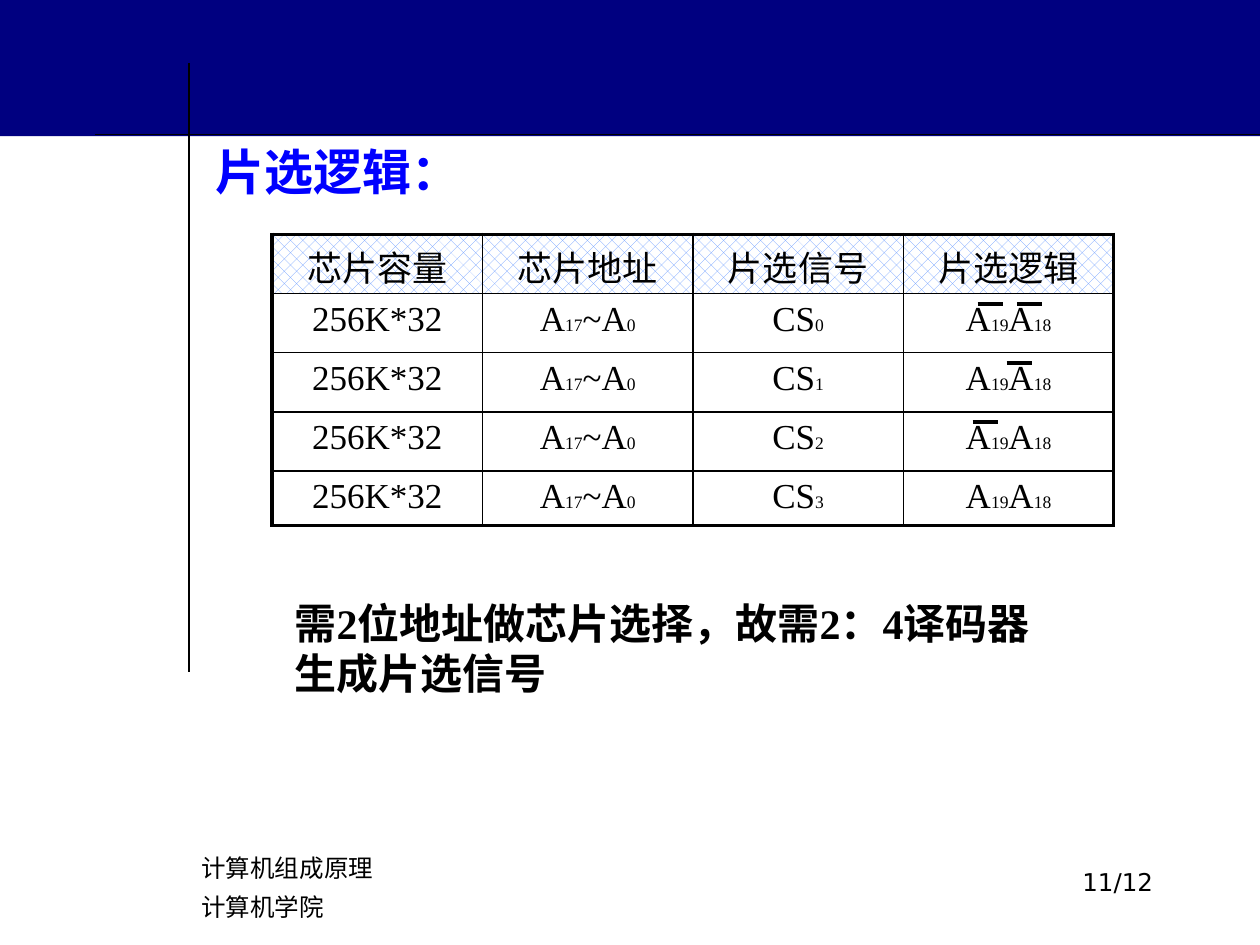
from pptx import Presentation
from pptx.dml.color import RGBColor
from pptx.enum.dml import MSO_PATTERN
from pptx.enum.shapes import MSO_CONNECTOR, MSO_SHAPE
from pptx.enum.text import MSO_ANCHOR, MSO_AUTO_SIZE, PP_ALIGN
from pptx.oxml.ns import qn
from pptx.util import Inches, Pt
from lxml import etree

RECT = MSO_SHAPE.RECTANGLE
STRAIGHT = MSO_CONNECTOR.STRAIGHT
HATCH = MSO_PATTERN.PERCENT_30
TOP, MIDDLE = MSO_ANCHOR.TOP, MSO_ANCHOR.MIDDLE
LEFT, CENTER, RIGHT = PP_ALIGN.LEFT, PP_ALIGN.CENTER, PP_ALIGN.RIGHT
NO_FIT = MSO_AUTO_SIZE.NONE

COLORS = {"band": "000080", "title": "0000FF", "ink": "000000",
          "hatch": "6699FF", "paper": "FFFFFF"}
CJK, SERIF, SANS = "Noto Sans CJK SC", "Times New Roman", "DejaVu Sans"
THICK, THIN = 2.25, 1


def rgb(name):
    return RGBColor.from_string(COLORS[name])


class SlideBuilder:
    """Holds the current slide and the style shared by its elements."""

    def __init__(self, slide):
        self.s = slide

    def run(self, p, text, size, font=CJK, color="ink", bold=False):
        r = p.add_run()
        r.text = text
        r.font.size = Pt(size)
        r.font.name = font
        r.font.bold = bold
        r.font.color.rgb = rgb(color)
        ea = etree.SubElement(r.font._element, qn("a:ea"))
        ea.set("typeface", CJK)

    def frame(self, sp, anchor, align):
        """Set up a text frame and return its first paragraph."""
        tf = sp.text_frame
        tf.word_wrap = True
        tf.auto_size = NO_FIT
        tf.vertical_anchor = anchor
        p = tf.paragraphs[0]
        p.alignment = align
        p.space_before = Pt(0)
        return p

    def title(self, text, x, y, w, h):
        sp = self.s.shapes.title
        sp.left, sp.top, sp.width, sp.height = map(Inches, (x, y, w, h))
        p = self.frame(sp, MIDDLE, LEFT)
        self.run(p, text, 28, color="title", bold=True)

    def text(self, lines, x, y, w, h, size, font=CJK, anchor=TOP, align=LEFT,
             spacing=None, bold=False):
        sp = self.s.shapes.add_textbox(*map(Inches, (x, y, w, h)))
        p = self.frame(sp, anchor, align)
        if spacing:
            p.line_spacing = Pt(spacing)
        for i, line in enumerate(lines):
            if i:
                p.add_line_break()
            self.run(p, line, size, font, bold=bold)

    def band(self, x, y, w, h):
        sp = self.s.shapes.add_shape(RECT, *map(Inches, (x, y, w, h)))
        sp.shadow.inherit = False
        sp.fill.solid()
        sp.fill.fore_color.rgb = rgb("band")
        sp.line.fill.background()

    def line(self, x1, y1, x2, y2, width=0.75):
        c = self.s.shapes.add_connector(STRAIGHT, *map(Inches, (x1, y1, x2, y2)))
        c.line.color.rgb = rgb("ink")
        c.line.width = Pt(width)
        etree.SubElement(c._element.spPr, qn("a:effectLst"))

    def borders(self, cell, widths):
        tcPr = cell._tc.get_or_add_tcPr()
        for side, width in widths.items():
            ln = etree.SubElement(tcPr, qn("a:ln" + side), w=str(Pt(width)))
            fill = etree.SubElement(ln, qn("a:solidFill"))
            etree.SubElement(fill, qn("a:srgbClr"), val=COLORS["ink"])

    def table(self, rows, x, y, col_width, heights):
        """Each cell is a list of (text, size) runs; the first row is the header."""
        n_rows, n_cols = len(rows), len(rows[0])
        table = self.s.shapes.add_table(
            n_rows, n_cols, Inches(x), Inches(y),
            Inches(col_width * n_cols), Inches(sum(heights))).table
        table.first_row = table.horz_banding = False
        for col in table.columns:
            col.width = Inches(col_width)
        for i, row in enumerate(rows):
            table.rows[i].height = Inches(heights[i])
            for j, runs in enumerate(row):
                cell = table.cell(i, j)
                self.borders(cell, {
                    "L": THICK if j == 0 else THIN,
                    "R": THICK if j == n_cols - 1 else THIN,
                    "T": THICK if i == 0 else THIN,
                    "B": THICK if i == n_rows - 1 else THIN})
                if i == 0:
                    cell.margin_bottom = Inches(0.01)
                    cell.fill.patterned()
                    cell.fill.pattern = HATCH
                    cell.fill.fore_color.rgb = rgb("hatch")
                    cell.fill.back_color.rgb = rgb("paper")
                else:
                    cell.fill.background()
                p = cell.text_frame.paragraphs[0]
                p.alignment = CENTER
                for text, size in runs:
                    self.run(p, text, size, CJK if i == 0 else SERIF)


def indexed(*parts):
    """Alternate normal text and small index text."""
    return [(text, 10 if k % 2 else 20) for k, text in enumerate(parts)]


def main():
    prs = Presentation()
    prs.slide_width, prs.slide_height = Inches(10), Inches(7.5)
    b = SlideBuilder(prs.slides.add_slide(prs.slide_layouts[5]))

    b.band(0, 0, 10, 1.08)
    b.line(10, 1.07, 0.75, 1.07)
    b.line(1.5, 0.5, 1.5, 5.33)
    b.title("片选逻辑：", 1.61, 1.07, 4.02, 0.57)

    header = [indexed(t) for t in ("芯片容量", "芯片地址", "片选信号", "片选逻辑")]
    chips = [[indexed("256K*32"), indexed("A", "17", "~A", "0"),
              indexed("CS", str(n)), indexed("A", "19", "A", "18")]
             for n in range(4)]
    b.table([header] + chips, 2.16, 1.86, 1.67, [0.47] * 4 + [0.43])

    # Negation bars over the address bits: (chip number, left edge)
    for chip, x in ((0, 7.76), (0, 8.07), (1, 7.99), (2, 7.72)):
        y = 2.41 + 0.47 * chip
        b.line(x, y, x + 0.2, y, THICK)

    b.text(["需2位地址做芯片选择，故需2：4译码器生成片选信号"], 2.24, 4.69, 6.06, 0.9,
           24, SERIF, anchor=MIDDLE, spacing=29, bold=True)
    b.text(["计算机组成原理", "计算机学院"], 1.5, 6.65, 4.75, 0.5, 14, spacing=22)
    b.text(["11/12"], 7.17, 6.83, 2.08, 0.5, 14, SANS, align=RIGHT)

    prs.save("out.pptx")


if __name__ == "__main__":
    main()
